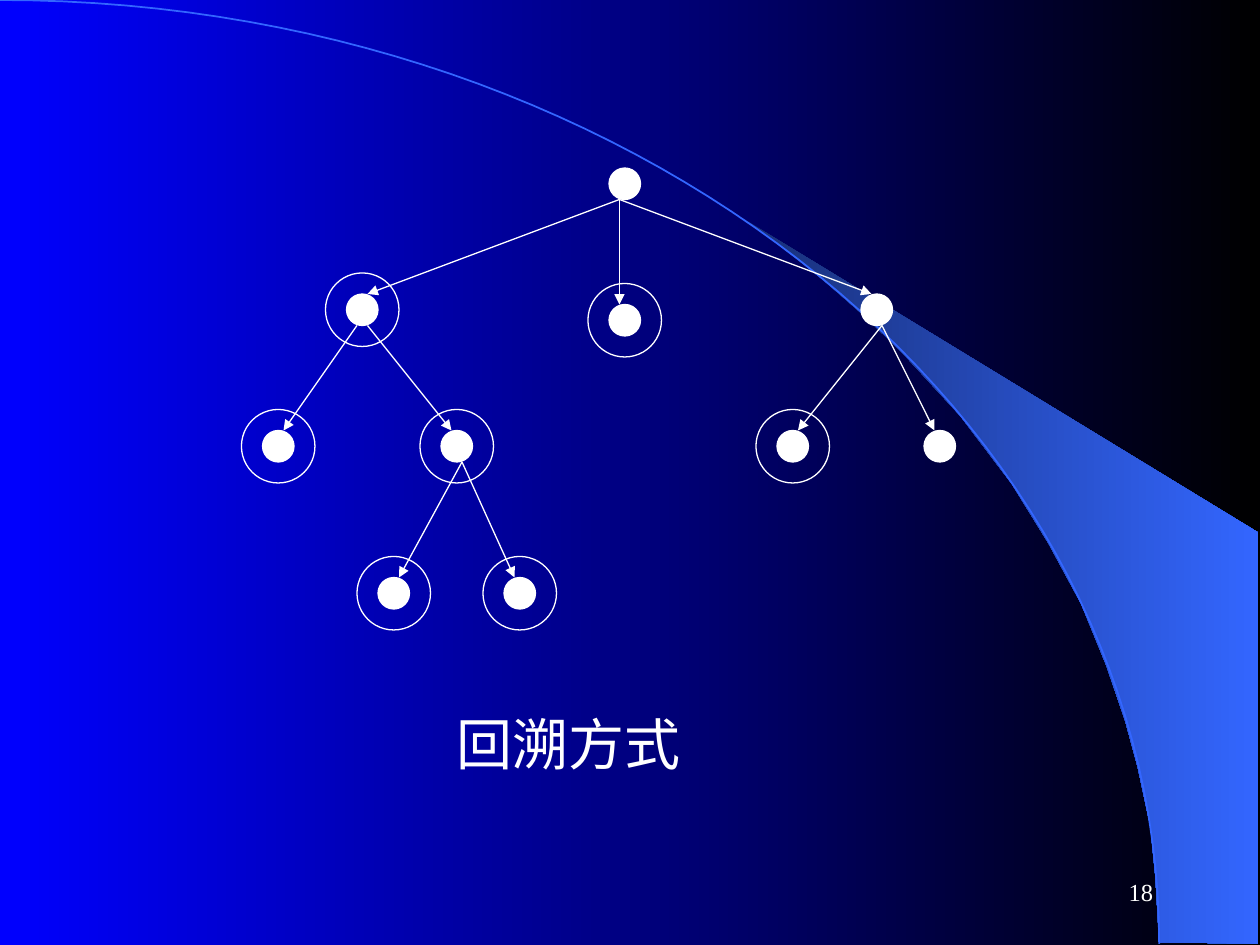
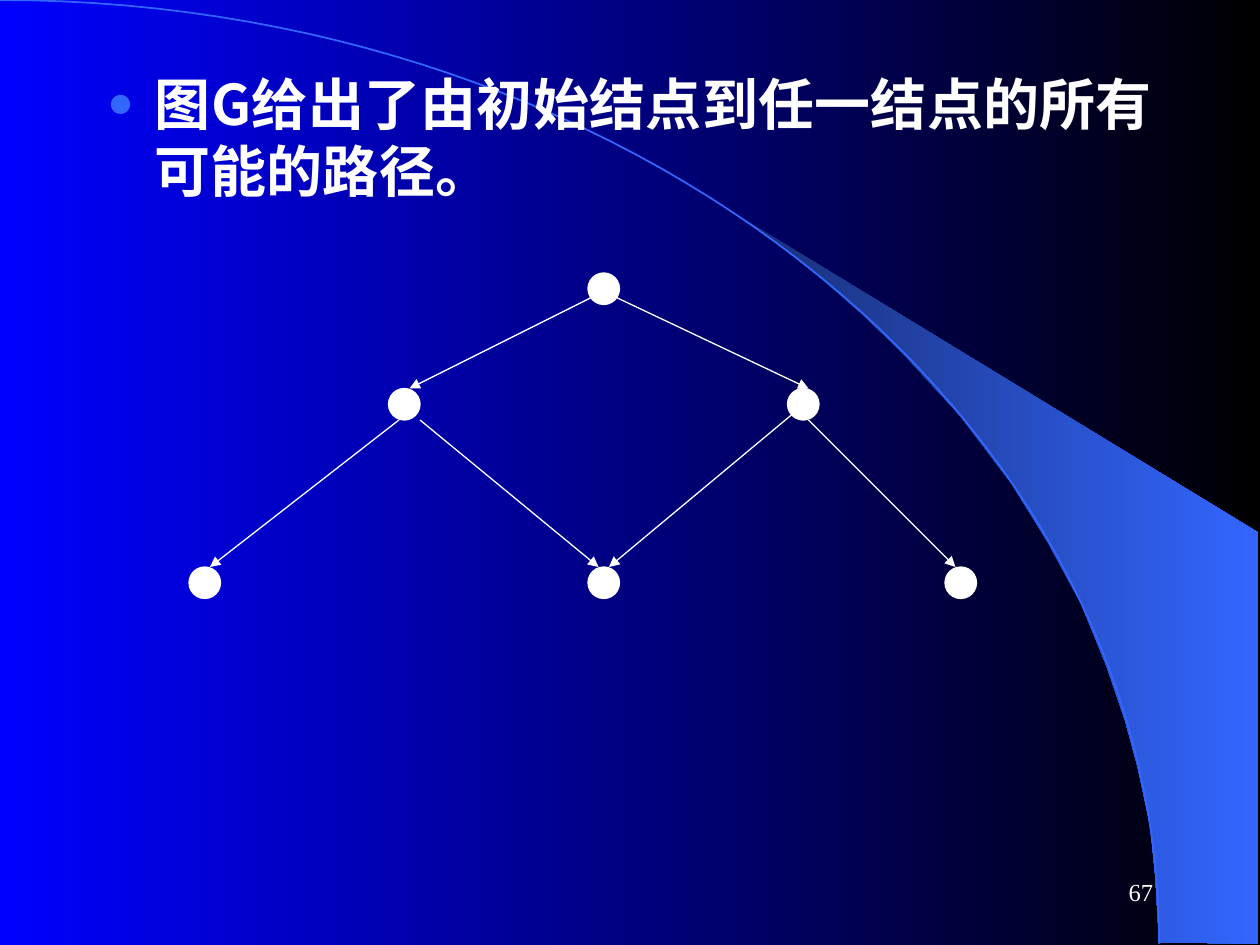
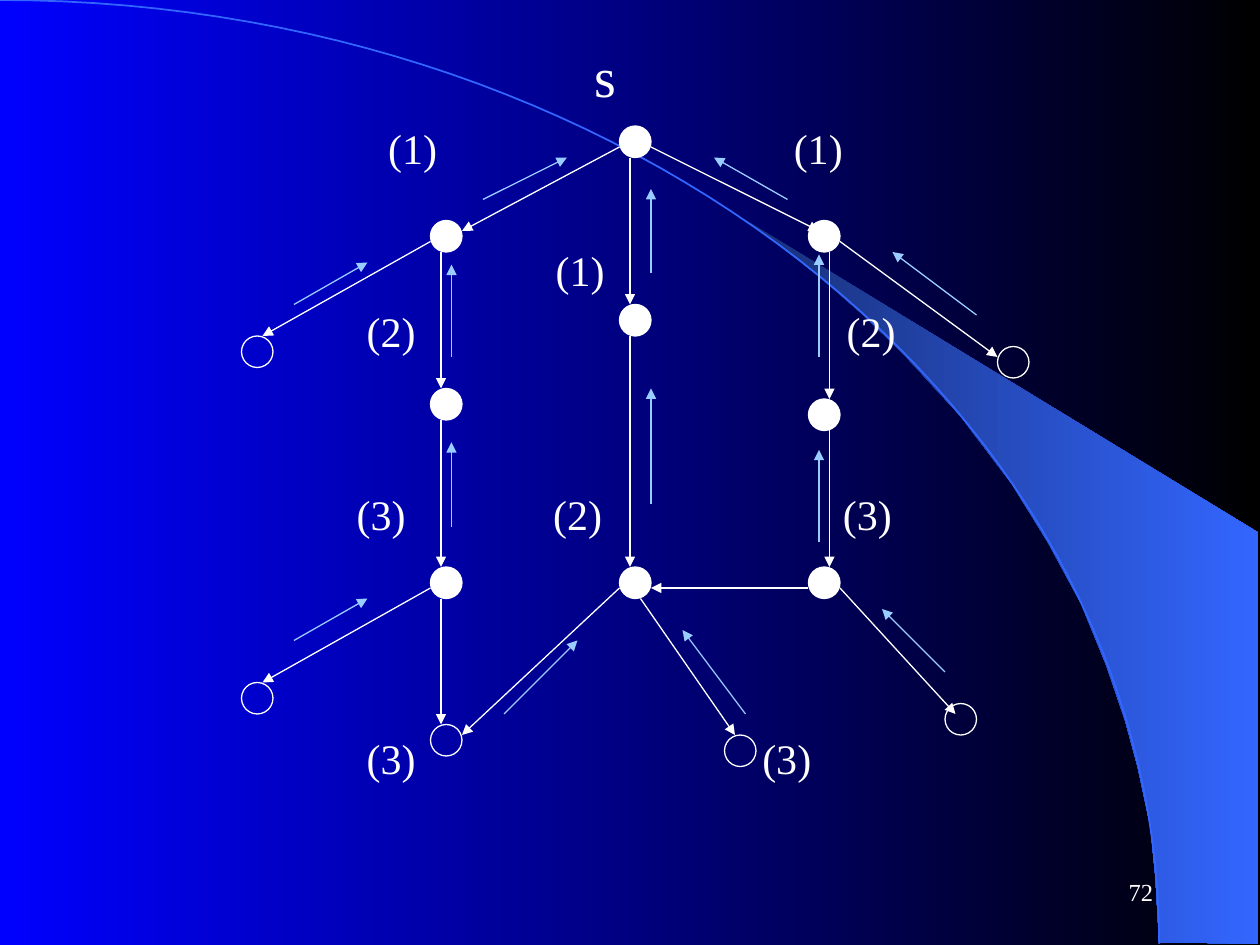
import pptx
import pptx.dml.color
import pptx.enum.shapes
import pptx.enum.text
import pptx.oxml
import pptx.oxml.ns
import pptx.util
from lxml import etree

Inches = pptx.util.Inches
Pt = pptx.util.Pt
RGBColor = pptx.dml.color.RGBColor
qn = pptx.oxml.ns.qn
Align = pptx.enum.text.PP_ALIGN

WHITE = RGBColor(0xFF, 0xFF, 0xFF)
BLACK = RGBColor(0x00, 0x00, 0x00)
BLUE = RGBColor(0x00, 0x00, 0xFF)
NAVY = RGBColor(0x18, 0x2F, 0x76)
ACCENT = RGBColor(0x33, 0x66, 0xFF)
PALE = RGBColor(0x99, 0xCC, 0xFF)
CJK = "Noto Sans CJK SC"
SERIF = "Times New Roman"

GRID = 12
NODE = 0.25
RING = 0.58
BODY_LEFT = 0.75
BODY_WIDTH = 8.5
LABEL_TOP = 0.97
LABEL_PITCH = 0.484
LABEL_SIZE = (0.45, 0.38)

BEAM = [
    (9.2, 7.48), (9.99, 7.49), (9.99, 4.23), (5.89, 1.73), (6.24, 1.99), (6.53, 2.22),
    (6.85, 2.5), (7.16, 2.8), (7.62, 3.3), (8.03, 3.84), (8.32, 4.31), (8.58, 4.79),
    (8.78, 5.28), (8.93, 5.72), (9.03, 6.09), (9.13, 6.56), (9.17, 6.96),
]
ARC = [(0, 0), (5.08, 0), (9.2, 3.35), (9.2, 7.49)]
ARC_STEPS = 60

BACKTRACKING = {
    "number": "18",
    "body": (5.58, 1.08),
    "ringed": [(4.83, 2.42), (2.75, 2.33), (2.08, 3.42), (3.5, 3.42), (6.17, 3.42),
               (3, 4.58), (4, 4.58)],
    "solid": [(4.83, 1.33), (6.83, 2.33), (7.33, 3.42)],
    "forward": [
        (4.92, 1.58, 4.92, 2.42), (4.92, 1.58, 2.92, 2.33), (4.92, 1.58, 6.92, 2.33),
        (2.83, 2.58, 2.25, 3.42), (2.92, 2.58, 3.58, 3.42), (3.67, 3.67, 3.17, 4.58),
        (3.67, 3.67, 4.08, 4.58), (7, 2.58, 6.33, 3.42), (7, 2.58, 7.42, 3.42),
    ],
}

GRAPH = {
    "number": "67",
    "body": (0.5, 1.33),
    "solid": [(4.67, 2.17), (3.08, 3.08), (6.25, 3.08), (1.5, 4.5), (4.67, 4.5), (7.5, 4.5)],
    "forward": [
        (4.75, 2.33, 3.25, 3.08), (4.83, 2.33, 6.42, 3.08), (3.17, 3.33, 1.67, 4.5),
        (3.33, 3.33, 4.75, 4.5), (6.33, 3.25, 4.83, 4.5), (6.42, 3.33, 7.58, 4.5),
    ],
}

SEARCH = {
    "number": "72",
    "body": (0.28, 6.17),
    "solid": [(4.92, 1), (3.42, 1.75), (6.42, 1.75), (3.42, 3.08), (6.42, 3.17),
              (3.42, 4.5), (6.42, 4.5), (4.92, 4.5), (4.92, 2.42)],
    "hollow": [(1.92, 2.67), (7.92, 2.75), (3.42, 5.75), (7.5, 5.58), (5.75, 5.83),
               (1.92, 5.42)],
    "forward": [
        (4.92, 1.17, 3.67, 1.83), (3.5, 2, 3.5, 3.08), (3.5, 3.33, 3.5, 4.5),
        (3.5, 4.75, 3.5, 5.75), (3.42, 1.92, 2.08, 2.67), (5.17, 1.17, 6.5, 1.83),
        (5, 1.25, 5, 2.42), (6.58, 2, 6.58, 3.17), (6.58, 3.42, 6.58, 4.5),
        (6.67, 1.92, 7.92, 2.83), (6.42, 4.67, 5.17, 4.67), (4.92, 4.67, 3.67, 5.83),
        (6.67, 4.67, 7.58, 5.67), (5.08, 4.75, 5.83, 5.83), (3.42, 4.67, 2.08, 5.42),
        (5, 2.67, 5, 4.5),
    ],
    "back": [
        (3.83, 1.58, 4.5, 1.25), (2.33, 2.42, 2.92, 2.08), (3.58, 2.83, 3.58, 2.1),
        (3.58, 4.18, 3.58, 3.51), (2.33, 5.08, 2.92, 4.75), (5.17, 2.17, 5.17, 1.5),
        (6.25, 1.58, 5.67, 1.25), (6.5, 2.83, 6.5, 2.02), (6.5, 4.3, 6.5, 3.57),
        (7.75, 2.5, 7.08, 2), (7.5, 5.33, 7, 4.83), (5.92, 5.67, 5.42, 5),
        (5.17, 4, 5.17, 3.08), (4, 5.67, 4.58, 5.08),
    ],
}

CAPTION = "回溯方式"
STATEMENT = "图G给出了由初始结点到任一结点的所有可能的路径。"
START = "s"
STEP_ROWS = {
    0: [("(1)", 3.08), ("(1)", 6.3)],
    2: [("(1)", 4.41)],
    3: [("(2)", 2.91), ("(2)", 6.72)],
    6: [("(3)", 2.83), ("(2)", 4.39), ("(3)", 6.69)],
    10: [("(3)", 2.91), ("(3)", 6.05)],
}


def snap(length):
    nearest = round(length * GRID) / GRID
    return Inches(nearest if abs(nearest - length) < 0.006 else length)


def paint_gradient(fill, first, last):
    fill.gradient()
    fill.gradient_angle = 0
    for stop, color in zip(fill.gradient_stops, (first, last)):
        stop.color.rgb = color


def style_text(paragraph, size, font, bold=False):
    for run in paragraph.runs:
        run.font.size = Pt(size)
        run.font.name = font
        run.font.bold = bold
        run.font.color.rgb = WHITE
        etree.SubElement(run.font._element, qn("a:ea"), typeface=font)


def set_indent(paragraph, left, first=0, bullet=False):
    properties = paragraph._p.get_or_add_pPr()
    properties.set("marL", str(Inches(left)))
    properties.set("indent", str(Inches(first)))
    if bullet:
        color = etree.SubElement(properties, qn("a:buClr"))
        etree.SubElement(color, qn("a:srgbClr"), val=str(ACCENT))
        etree.SubElement(properties, qn("a:buSzPct"), val="80000")
        etree.SubElement(properties, qn("a:buFont"), typeface=SERIF)
        etree.SubElement(properties, qn("a:buChar"), char="●")
    else:
        etree.SubElement(properties, qn("a:buNone"))


def write_body(frame, text, font=CJK, bold=False, align=Align.LEFT, spacing=Pt(38.4), **indent):
    paragraph = frame.paragraphs[0]
    paragraph.text = text
    set_indent(paragraph, **indent)
    paragraph.alignment = align
    paragraph.space_before = Pt(0)
    paragraph.line_spacing = spacing
    style_text(paragraph, 32, font, bold)


def draw_outline(slide, points, close):
    (left, top), *rest = [(Inches(x), Inches(y)) for x, y in points]
    builder = slide.shapes.build_freeform(left, top)
    builder.add_line_segments(rest, close=close)
    outline = builder.convert_to_shape()
    outline.shadow.inherit = False
    return outline


def arc_point(t):
    weights = ((1 - t) ** 3, 3 * t * (1 - t) ** 2, 3 * t ** 2 * (1 - t), t ** 3)
    return tuple(sum(w * p[axis] for w, p in zip(weights, ARC)) for axis in (0, 1))


def decorate_master(master, slide):
    paint_gradient(master.background.fill, BLUE, BLACK)
    beam = draw_outline(slide, BEAM, True)
    paint_gradient(beam.fill, NAVY, ACCENT)
    beam.line.fill.background()
    arc = draw_outline(slide, [arc_point(i / ARC_STEPS) for i in range(ARC_STEPS + 1)], False)
    arc.fill.background()
    arc.line.color.rgb = ACCENT
    arc.line.width = Pt(1)
    for number, band in enumerate((beam, arc), 101):
        band.element.nvSpPr.cNvPr.set("id", str(number))
        master.shapes.element.append(band.element)


def draw_circle(slide, corner, size, filled):
    diameter = snap(size)
    left, top = (snap(c) + (Inches(NODE) - diameter) // 2 for c in corner)
    circle = slide.shapes.add_shape(
        pptx.enum.shapes.MSO_SHAPE.OVAL, left, top, diameter, diameter)
    circle.shadow.inherit = False
    if filled:
        circle.fill.solid()
        circle.fill.fore_color.rgb = WHITE
    else:
        circle.fill.background()
    circle.line.color.rgb = WHITE
    circle.line.width = Pt(0.75)


def draw_arrow(slide, ends, color):
    arrow = slide.shapes.add_connector(
        pptx.enum.shapes.MSO_CONNECTOR.STRAIGHT, *(snap(c) for c in ends))
    arrow.line.color.rgb = color
    arrow.line.width = Pt(0.75)
    etree.SubElement(arrow.line._get_or_add_ln(), qn("a:tailEnd"), type="triangle")
    etree.SubElement(arrow.element.spPr, qn("a:effectLst"))


def draw_diagram(slide, diagram):
    ringed = diagram.get("ringed", [])
    for corner in diagram["solid"] + ringed:
        draw_circle(slide, corner, NODE, True)
    for corner in diagram.get("hollow", []):
        draw_circle(slide, corner, NODE, False)
    for ends in diagram["forward"]:
        draw_arrow(slide, ends, WHITE)
    for ends in diagram.get("back", []):
        draw_arrow(slide, ends, PALE)
    for corner in ringed:
        draw_circle(slide, corner, RING, False)


def add_text(slide, text, bounds, size):
    box = slide.shapes.add_textbox(*(Inches(b) for b in bounds))
    frame = box.text_frame
    frame.word_wrap = True
    frame.text = text
    style_text(frame.paragraphs[0], size, SERIF)
    return frame


def write_number(slide, number):
    frame = add_text(slide, number, (7.17, 6.83, 2.08, 0.5), 14)
    frame.vertical_anchor = pptx.enum.text.MSO_ANCHOR.MIDDLE
    frame.paragraphs[0].alignment = Align.RIGHT


def write_steps(slide):
    for row, labels in STEP_ROWS.items():
        top = LABEL_TOP + row * LABEL_PITCH
        for text, left in labels:
            frame = add_text(slide, text, (left, top, *LABEL_SIZE), 24)
            frame.margin_left = frame.margin_right = 0
            frame.margin_top = frame.margin_bottom = 0


def place_body(slide, top, height):
    title = slide.shapes.title.element
    title.getparent().remove(title)
    body = slide.placeholders[1]
    body.left, body.top = Inches(BODY_LEFT), Inches(top)
    body.width, body.height = Inches(BODY_WIDTH), Inches(height)
    frame = body.text_frame
    frame.auto_size = pptx.enum.text.MSO_AUTO_SIZE.NONE
    frame.word_wrap = True
    frame.margin_left = frame.margin_right = Inches(0.1)
    frame.margin_top = Inches(0.05)
    return frame


def main():
    deck = pptx.Presentation()
    deck.slide_width, deck.slide_height = Inches(10), Inches(7.5)
    frames = []
    for diagram in (BACKTRACKING, GRAPH, SEARCH):
        slide = deck.slides.add_slide(deck.slide_layouts[1])
        if not frames:
            decorate_master(deck.slide_master, slide)
        frames.append(place_body(slide, *diagram["body"]))
        write_number(slide, diagram["number"])
        draw_diagram(slide, diagram)

    caption, statement, start = frames
    write_body(caption, CAPTION, left=2.77)
    write_body(statement, STATEMENT, bold=True, align=Align.JUSTIFY,
               left=0.38, first=-0.38, bullet=True)
    write_body(start, START, font=SERIF, spacing=1.0, left=3.87)
    write_steps(slide)
    deck.save("out.pptx")


if __name__ == "__main__":
    main()
